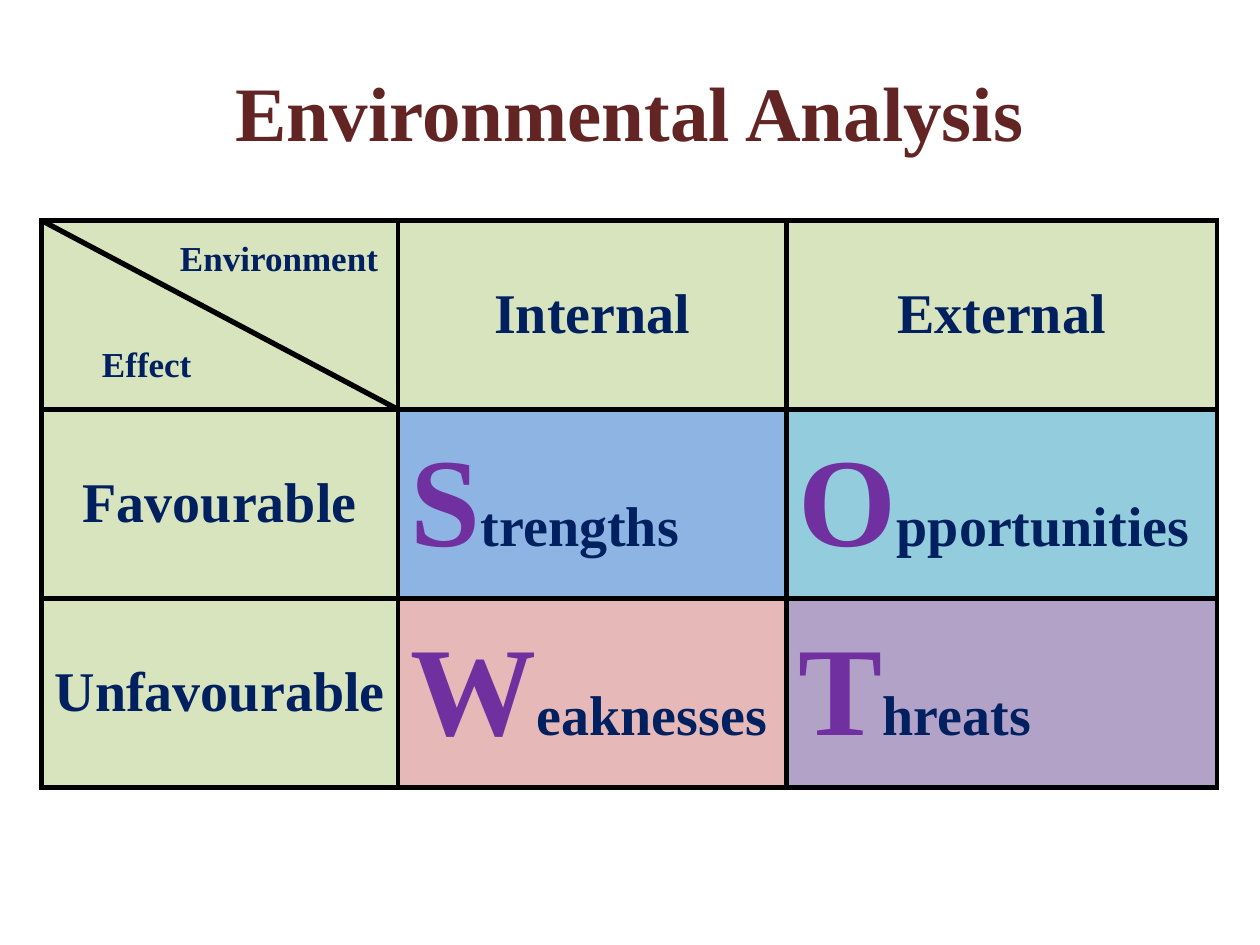
import pptx
import pptx.dml.color
import pptx.enum.shapes
import pptx.enum.text
import pptx.oxml
import pptx.oxml.ns
import pptx.util
from dataclasses import dataclass

Inches = pptx.util.Inches
Pt = pptx.util.Pt
ALIGN = pptx.enum.text.PP_ALIGN
MIDDLE = pptx.enum.text.MSO_ANCHOR.MIDDLE

FONT = "Times New Roman"
NAVY, PURPLE, MAROON, BLACK = "002060", "7030A0", "632523", "000000"
GREEN, BLUE, AQUA, PINK, VIOLET = "D7E4BD", "8EB4E3", "93CDDD", "E6B9B8", "B3A2C7"
LINE_WIDTH = Pt(3)
LEFT, TOP, ROW_HEIGHT = 0.33, 1.75, 1.5
COLUMN_WIDTHS = (2.83, 3.08, 3.42)


@dataclass
class Entry:
    """One cell of the matrix, with an optional large initial."""
    text: str
    fill: str = GREEN
    initial: str = ""


@dataclass
class CornerLabel:
    text: str
    left: float
    top: float
    width: float
    align: ALIGN


MATRIX = (
    (Entry(""), Entry("Internal"), Entry("External")),
    (Entry("Favourable"), Entry("trengths", BLUE, "S"), Entry("pportunities", AQUA, "O")),
    (Entry("Unfavourable"), Entry("eaknesses", PINK, "W"), Entry("hreats", VIOLET, "T")),
)
CORNER_LABELS = (
    CornerLabel("Environment", 1.33, 1.83, 2.25, ALIGN.LEFT),
    CornerLabel("Effect", 0.5, 2.67, 1.33, ALIGN.CENTER),
)


def rgb(color: str) -> pptx.dml.color.RGBColor:
    return pptx.dml.color.RGBColor.from_string(color)


def style_font(font, size: int, color: str) -> None:
    font.name = FONT
    font.bold = True
    font.size = Pt(size)
    font.color.rgb = rgb(color)


def add_borders(cell) -> None:
    properties = cell._tc.get_or_add_tcPr()
    for side in ("lnL", "lnR", "lnT", "lnB"):
        properties.append(pptx.oxml.parse_xml(
            f'<a:{side} {pptx.oxml.ns.nsdecls("a")} w="{LINE_WIDTH}">'
            f'<a:solidFill><a:srgbClr val="{BLACK}"/></a:solidFill></a:{side}>'))


def fill_cell(cell, entry: Entry) -> None:
    add_borders(cell)
    cell.fill.solid()
    cell.fill.fore_color.rgb = rgb(entry.fill)
    cell.vertical_anchor = MIDDLE
    paragraph = cell.text_frame.paragraphs[0]
    style_font(paragraph.font, 32, NAVY)
    paragraph.alignment = ALIGN.LEFT if entry.initial else ALIGN.CENTER
    if entry.initial:
        initial = paragraph.add_run()
        initial.text = entry.initial
        style_font(initial.font, 72, PURPLE)
    if entry.text:
        paragraph.add_run().text = entry.text


def add_matrix(slide) -> None:
    table = slide.shapes.add_table(
        len(MATRIX), len(COLUMN_WIDTHS), Inches(LEFT), Inches(TOP),
        Inches(sum(COLUMN_WIDTHS)), Inches(ROW_HEIGHT * len(MATRIX))).table
    table.first_row = table.horz_banding = False
    for column, width in zip(table.columns, COLUMN_WIDTHS):
        column.width = Inches(width)
    for r, entries in enumerate(MATRIX):
        table.rows[r].height = Inches(ROW_HEIGHT)
        for c, entry in enumerate(entries):
            fill_cell(table.cell(r, c), entry)


def add_diagonal(slide) -> None:
    diagonal = slide.shapes.add_connector(
        pptx.enum.shapes.MSO_CONNECTOR.STRAIGHT, Inches(LEFT), Inches(TOP),
        Inches(LEFT + COLUMN_WIDTHS[0]), Inches(TOP + ROW_HEIGHT))
    diagonal.line.color.rgb = rgb(BLACK)
    diagonal.line.width = LINE_WIDTH
    diagonal._element.spPr.append(
        pptx.oxml.parse_xml(f'<a:effectLst {pptx.oxml.ns.nsdecls("a")}/>'))


def add_corner_label(slide, label: CornerLabel) -> None:
    frame = slide.shapes.add_textbox(
        Inches(label.left), Inches(label.top), Inches(label.width), Inches(0.44)).text_frame
    frame.word_wrap = True
    frame.auto_size = pptx.enum.text.MSO_AUTO_SIZE.SHAPE_TO_FIT_TEXT
    paragraph = frame.paragraphs[0]
    paragraph.text = label.text
    paragraph.alignment = label.align
    style_font(paragraph.font, 20, NAVY)


def main() -> None:
    presentation = pptx.Presentation()
    presentation.slide_width, presentation.slide_height = Inches(10), Inches(7.5)
    slide = presentation.slides.add_slide(presentation.slide_layouts[5])

    # Title
    title = slide.shapes.title
    title.left, title.top = Inches(0.75), Inches(0.25)
    title.width, title.height = Inches(8.5), Inches(1.25)
    title.text_frame.text = "Environmental Analysis"
    title.text_frame.vertical_anchor = MIDDLE
    heading = title.text_frame.paragraphs[0]
    heading.alignment = ALIGN.CENTER
    style_font(heading.font, 44, MAROON)

    # SWOT matrix with its split corner cell
    add_matrix(slide)
    add_diagonal(slide)
    for label in CORNER_LABELS:
        add_corner_label(slide, label)

    presentation.save("out.pptx")


if __name__ == "__main__":
    main()
